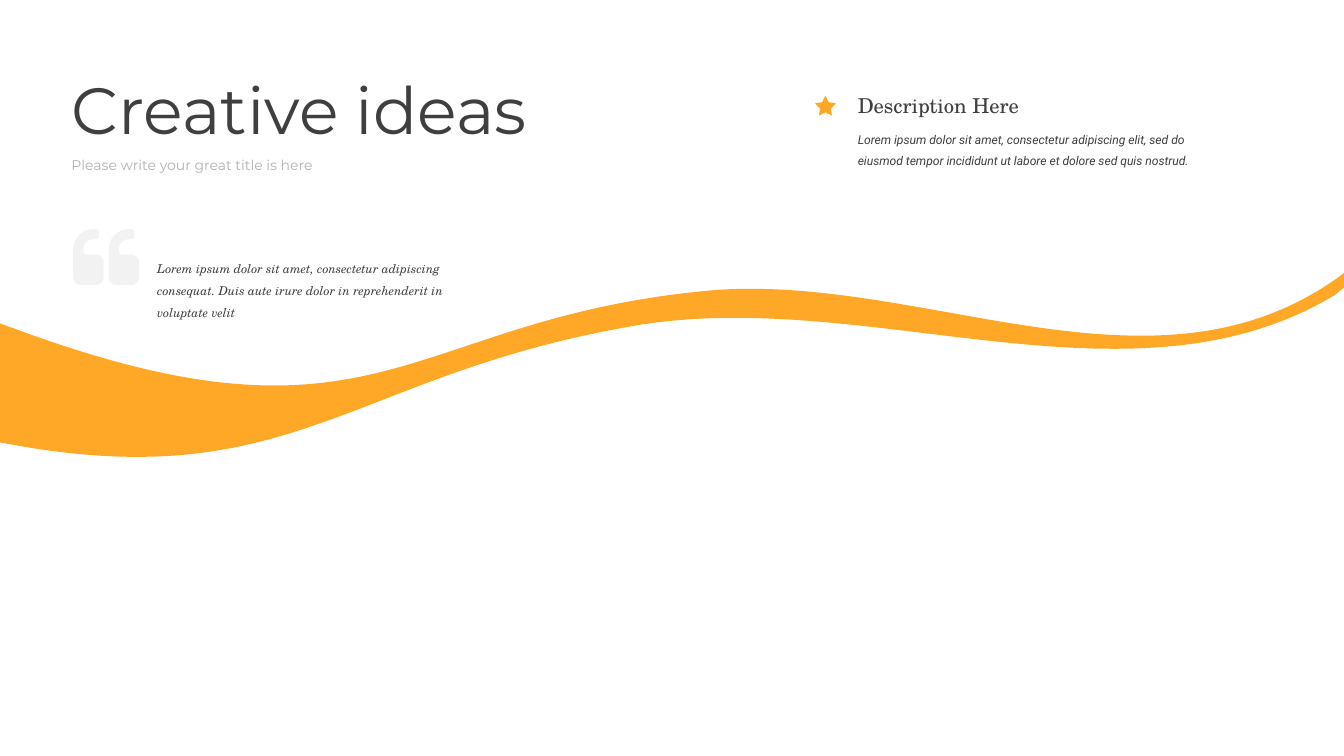
import math
from pptx import Presentation, util as u
from pptx.dml.color import RGBColor
from pptx.enum import text

COLORS = {"orange": "FFA827", "dark": "3F3F3F", "grey": "B2B2B2", "pale": "F2F2F2"}
WIDTH, HEIGHT = 1440, 810


def bezier(start, first, second, end, steps):
    """Points along a cubic curve."""
    points = []
    for step in range(steps + 1):
        t = step / steps
        weights = ((1 - t) ** 3, 3 * t * (1 - t) ** 2, 3 * t ** 2 * (1 - t), t ** 3)
        points.append(tuple(sum(weight * value for weight, value in zip(weights, axis))
                            for axis in zip(start, first, second, end)))
    return points


def round_corners(corners):
    """Polygon of (x, y, radius) corners, each cut by a round curve."""
    points = []
    for index, (x, y, radius) in enumerate(corners):
        if not radius:
            points.append((x, y))
            continue
        ends, handles = [], []
        for near_x, near_y, _ in (corners[index - 1], corners[(index + 1) % len(corners)]):
            share = radius / math.dist((x, y), (near_x, near_y))
            for places, part in ((ends, share), (handles, 0.45 * share)):
                places.append((x + (near_x - x) * part, y + (near_y - y) * part))
        points += bezier(ends[0], *handles, ends[1], 8)
    return points


presentation = Presentation()
presentation.slide_width = u.Pt(WIDTH)
presentation.slide_height = u.Pt(HEIGHT)
slide = presentation.slides.add_slide(presentation.slide_layouts[6])

# Wave: two curves above from left to right, two below back again,
# each pair cut at the slide edges
wave = []
for left_or_right_end, curves, other_end in (
    ((0, 346.5),
     [((-3.5, 345), (402.5, 500.5), (428.5, 345.5), (748, 312.5)),
      ((748, 312.5), (981.5, 286), (1237, 445), (1439.5, 293))],
     (WIDTH, 292.5)),
    ((WIDTH, 308),
     [((1473, 286), (1250.5, 466.5), (952, 305.5), (686, 348)),
      ((686, 348), (325, 407.5), (303, 579.5), (-168, 430))],
     (0, 474)),
):
    wave.append(left_or_right_end)
    for curve in curves:
        wave += [point for point in bezier(*curve, 64) if 0 < point[0] < WIDTH]
    wave.append(other_end)

# Quotation mark: the same comma twice
comma = [
    (0, 0, 21.6), (27.4, 0, 3), (27.4, 10.8, 3), (10.8, 10.8, 10.8),
    (10.8, 27.4, 4.2), (32.4, 27.4, 8), (32.4, 59.8, 8), (0, 59.8, 8),
]
quote_marks = [
    round_corners([(left + x, 245.5 + y, radius) for x, y, radius in comma])
    for left in (78.5, 116.5)
]

# Star: long and short spokes in turn, long ones blunted
star_corners = []
for spoke in range(10):
    length, radius = ((12, 1.2), (6, 0))[spoke % 2]
    angle = math.radians(36 * spoke)
    star_corners.append((884.4 + length * math.sin(angle),
                         114.4 - length * math.cos(angle), radius))
star = round_corners(star_corners)

# Draw the outlines
for contours, color in (([wave], "orange"), (quote_marks, "pale"), ([star], "orange")):
    contours = [[(u.Pt(x), u.Pt(y)) for x, y in contour] for contour in contours]
    builder = slide.shapes.build_freeform(*contours[0][0])
    for contour in contours:
        if contour is not contours[0]:
            builder.move_to(*contour[0])
        builder.add_line_segments(contour[1:], close=True)
    shape = builder.convert_to_shape()
    shape.shadow.inherit = False
    shape.fill.solid()
    shape.fill.fore_color.rgb = RGBColor.from_string(COLORS[color])
    shape.line.fill.background()

# Texts: box, wording, line spacing, colour, font
for box, wording, spacing, color, font_format in (
    ((69.5, 70.5, 529, 92), "Creative ideas", 1.0, "dark",
     {"name": "Montserrat", "size": u.Pt(70)}),
    ((69.5, 164, 333, 25), "Please write your great title is here", 1.0, "grey",
     {"name": "Montserrat", "size": u.Pt(15)}),
    ((161.4, 269.2, 340.5, 78.5),
     "Lorem ipsum dolor sit amet, consectetur adipiscing consequat. "
     "Duis aute irure dolor in reprehenderit in voluptate velit", 1.5, "dark",
     {"name": "TeX Gyre Schola", "size": u.Pt(13), "italic": True}),
    ((912, 130, 404.5, 54.5),
     "Lorem ipsum dolor sit amet, consectetur adipiscing elit, sed do eiusmod "
     "tempor incididunt ut labore et dolore sed quis nostrud.", 1.5, "dark",
     {"name": "Roboto", "size": u.Pt(13), "italic": True}),
    ((912, 96, 219, 34), "Description Here", 1.0, "dark",
     {"name": "TeX Gyre Schola", "size": u.Pt(22)}),
):
    shape = slide.shapes.add_textbox(*map(u.Pt, box))
    shape.text_frame.word_wrap = True
    shape.text_frame.auto_size = text.MSO_AUTO_SIZE.SHAPE_TO_FIT_TEXT
    paragraph = shape.text_frame.paragraphs[0]
    paragraph.line_spacing = spacing
    run = paragraph.add_run()
    run.text = wording
    for attribute, value in font_format.items():
        setattr(run.font, attribute, value)
    run.font.color.rgb = RGBColor.from_string(COLORS[color])

presentation.save("out.pptx")
